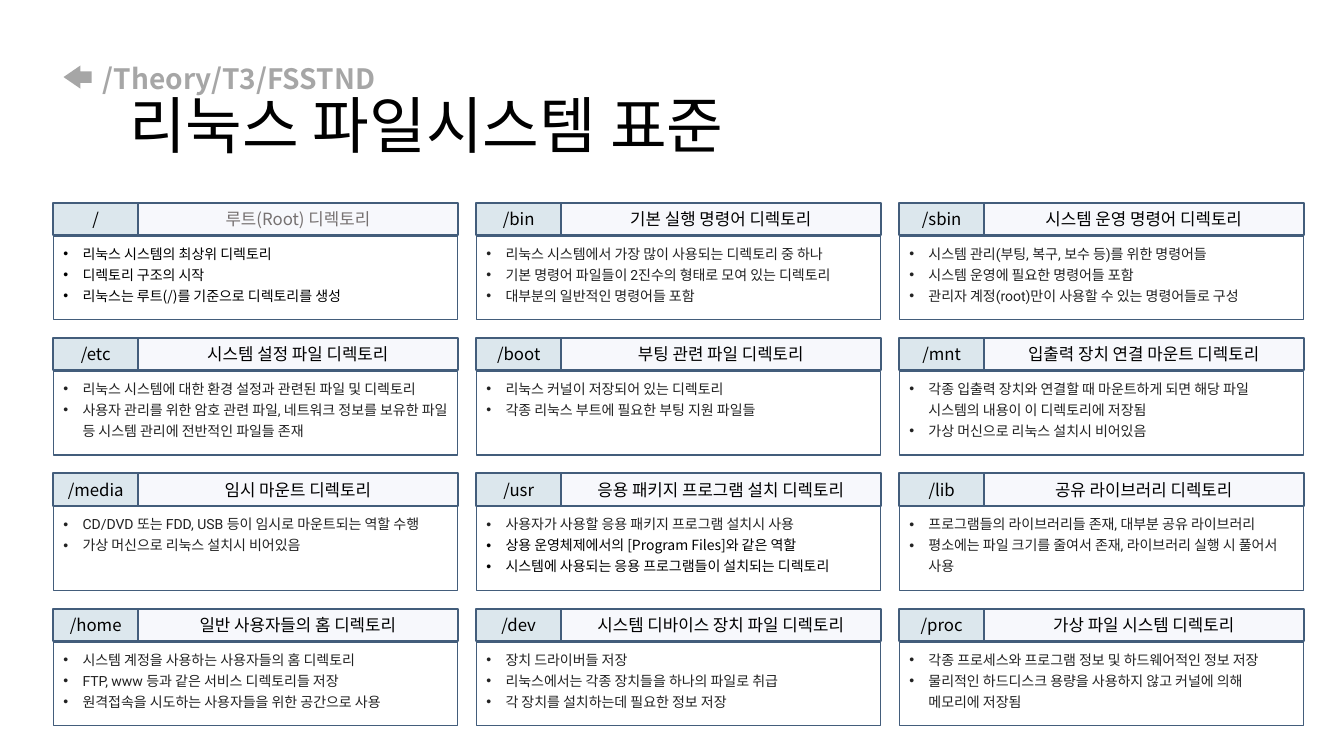
from lxml import etree
from pptx import Presentation
from pptx import util as u
from pptx.dml.color import RGBColor
from pptx.enum import shapes, text
from pptx.oxml.ns import qn

TRAIL = "/Theory/T3/FSSTND"
HEADLINE = "리눅스 파일시스템 표준"
DIRECTORIES = [
    ("/", "루트(Root) 디렉토리", [
        "리눅스 시스템의 최상위 디렉토리",
        "디렉토리 구조의 시작",
        "리눅스는 루트(/)를 기준으로 디렉토리를 생성"]),
    ("/bin", "기본 실행 명령어 디렉토리", [
        "리눅스 시스템에서 가장 많이 사용되는 디렉토리 중 하나",
        "기본 명령어 파일들이 2진수의 형태로 모여 있는 디렉토리",
        "대부분의 일반적인 명령어들 포함"]),
    ("/sbin", "시스템 운영 명령어 디렉토리", [
        "시스템 관리(부팅, 복구, 보수 등)를 위한 명령어들",
        "시스템 운영에 필요한 명령어들 포함",
        "관리자 계정(root)만이 사용할 수 있는 명령어들로 구성"]),
    ("/etc", "시스템 설정 파일 디렉토리", [
        "리눅스 시스템에 대한 환경 설정과 관련된 파일 및 디렉토리",
        "사용자 관리를 위한 암호 관련 파일, 네트워크 정보를 보유한 파일 등 시스템 관리에 전반적인 파일들 존재"]),
    ("/boot", "부팅 관련 파일 디렉토리", [
        "리눅스 커널이 저장되어 있는 디렉토리",
        "각종 리눅스 부트에 필요한 부팅 지원 파일들"]),
    ("/mnt", "입출력 장치 연결 마운트 디렉토리", [
        "각종 입출력 장치와 연결할 때 마운트하게 되면 해당 파일 시스템의 내용이 이 디렉토리에 저장됨",
        "가상 머신으로 리눅스 설치시 비어있음"]),
    ("/media", "임시 마운트 디렉토리", [
        "CD/DVD 또는 FDD, USB 등이 임시로 마운트되는 역할 수행",
        "가상 머신으로 리눅스 설치시 비어있음"]),
    ("/usr", "응용 패키지 프로그램 설치 디렉토리", [
        "사용자가 사용할 응용 패키지 프로그램 설치시 사용",
        "상용 운영체제에서의 [Program Files]와 같은 역할",
        "시스템에 사용되는 응용 프로그램들이 설치되는 디렉토리"]),
    ("/lib", "공유 라이브러리 디렉토리", [
        "프로그램들의 라이브러리들 존재, 대부분 공유 라이브러리",
        "평소에는 파일 크기를 줄여서 존재, 라이브러리 실행 시 풀어서 사용"]),
    ("/home", "일반 사용자들의 홈 디렉토리", [
        "시스템 계정을 사용하는 사용자들의 홈 디렉토리",
        "FTP, www 등과 같은 서비스 디렉토리들 저장",
        "원격접속을 시도하는 사용자들을 위한 공간으로 사용"]),
    ("/dev", "시스템 디바이스 장치 파일 디렉토리", [
        "장치 드라이버들 저장",
        "리눅스에서는 각종 장치들을 하나의 파일로 취급",
        "각 장치를 설치하는데 필요한 정보 저장"]),
    ("/proc", "가상 파일 시스템 디렉토리", [
        "각종 프로세스와 프로그램 정보 및 하드웨어적인 정보 저장",
        "물리적인 하드디스크 용량을 사용하지 않고 커널에 의해 메모리에 저장됨"]),
]
BLACK_NOTES = {("/", 0), ("/", 1), ("/", 2), ("/usr", 1), ("/usr", 2)}

KOREAN = "Noto Sans CJK KR"
THEME = {
    "trail": {"size": 20, "name": KOREAN, "color": "A6A6A6", "bold": True},
    "headline": {"size": 44, "name": KOREAN, "color": "000000", "bold": False},
    "heading": {"size": 12, "name": KOREAN, "color": "000000"},
    "root": {"size": 12, "name": KOREAN, "color": "767171"},
    "note": {"size": 10, "name": "Roboto", "color": "222222"},
    "black note": {"size": 10, "name": KOREAN, "color": "000000"},
    "directory": "DCE7ED",
    "purpose": "F7F8FC",
    "border": "435D7B",
    "arrow": "A6A6A6",
}

COLUMNS = 3
LEFT, TOP = 0.53, 2.01
COLUMN_STEP = (8.92 - LEFT) / 2
ROW_STEP = (6.04 - TOP) / 3
CARD_WIDTH, DIRECTORY_WIDTH = 4.01, 0.84
HEADING_HEIGHT, NOTES_OFFSET, NOTES_HEIGHT = 0.32, 0.33, 0.83
INDENT = 0.19


def write(paragraph, words, style):
    run = paragraph.add_run()
    run.text = words
    formats = dict(THEME[style])
    run.font.color.rgb = RGBColor.from_string(formats.pop("color"))
    formats["size"] = u.Pt(formats["size"])
    for key, value in formats.items():
        setattr(run.font, key, value)
    etree.SubElement(run._r.get_or_add_rPr(), qn("a:ea")).set("typeface", KOREAN)


def draw(parent, kind, box, fill=None, line=None):
    shape = parent.shapes.add_shape(kind, *[u.Inches(length) for length in box])
    shape.shadow.inherit = False
    if fill:
        shape.fill.solid()
        shape.fill.fore_color.rgb = RGBColor.from_string(THEME[fill])
    else:
        shape.fill.background()
    if line:
        shape.line.color.rgb = RGBColor.from_string(THEME["border"])
        shape.line.width = u.Pt(line)
    else:
        shape.line.fill.background()
    return shape


def add_heading(card, kind, box, fill, words, style):
    heading = draw(card, kind, box, fill, 1.5)
    paragraph = heading.text_frame.paragraphs[0]
    paragraph.alignment = text.PP_ALIGN.CENTER
    write(paragraph, words, style)
    return heading


def add_notes(card, box, directory, notes):
    frame = draw(card, shapes.MSO_SHAPE.RECTANGLE, box, line=1).text_frame
    frame.vertical_anchor = text.MSO_ANCHOR.TOP
    for index, note in enumerate(notes):
        paragraph = frame.add_paragraph() if index else frame.paragraphs[0]
        properties = paragraph._p.get_or_add_pPr()
        properties.set("marL", str(u.Inches(INDENT)))
        properties.set("indent", str(-u.Inches(INDENT)))
        etree.SubElement(properties, qn("a:buFont")).set("typeface", "Arial")
        etree.SubElement(properties, qn("a:buChar")).set("char", "•")
        paragraph.alignment = text.PP_ALIGN.LEFT
        paragraph.line_spacing = 1.25
        write(paragraph, note, "black note" if (directory, index) in BLACK_NOTES else "note")


def add_card(slide, position, directory, purpose, notes):
    row, column = divmod(position, COLUMNS)
    x, y = LEFT + column * COLUMN_STEP, TOP + row * ROW_STEP
    card = slide.shapes.add_group_shape()
    add_heading(card, shapes.MSO_SHAPE.RECTANGLE,
                (x, y, DIRECTORY_WIDTH, HEADING_HEIGHT), "directory", directory, "heading")
    add_notes(card, (x, y + NOTES_OFFSET, CARD_WIDTH, NOTES_HEIGHT), directory, notes)
    heading = add_heading(
        card, shapes.MSO_SHAPE.ROUNDED_RECTANGLE,
        (x + DIRECTORY_WIDTH, y, CARD_WIDTH - DIRECTORY_WIDTH, HEADING_HEIGHT),
        "purpose", purpose, "root" if directory == "/" else "heading")
    heading.adjustments[0] = 0


def add_title(slide):
    title = slide.shapes.title
    place = {"left": 0.92, "top": 0.4, "width": 11.5, "height": 1.45}
    for key, value in place.items():
        setattr(title, key, u.Inches(value))
    frame = title.text_frame
    frame.auto_size = text.MSO_AUTO_SIZE.NONE
    frame.vertical_anchor = text.MSO_ANCHOR.MIDDLE
    trail, headline = frame.paragraphs[0], frame.add_paragraph()
    for paragraph, words, style in ((trail, TRAIL, "trail"), (headline, HEADLINE, "headline")):
        paragraph.alignment = text.PP_ALIGN.LEFT
        paragraph.line_spacing = 0.9
        paragraph.space_before = u.Pt(0)
        write(paragraph, words, style)
    headline._p.get_or_add_pPr().set("marL", str(u.Inches(0.26)))


def main():
    deck = Presentation()
    deck.slide_width, deck.slide_height = u.Inches(13.33), u.Inches(7.5)
    slide = deck.slides.add_slide(deck.slide_layouts[5])
    add_title(slide)
    arrow = draw(slide, shapes.MSO_SHAPE.LEFT_ARROW, (0.63, 0.65, 0.28, 0.23), "arrow")
    arrow.adjustments[1] = 0.73
    for position, entry in enumerate(DIRECTORIES):
        add_card(slide, position, *entry)
    deck.save("out.pptx")


if __name__ == "__main__":
    main()
